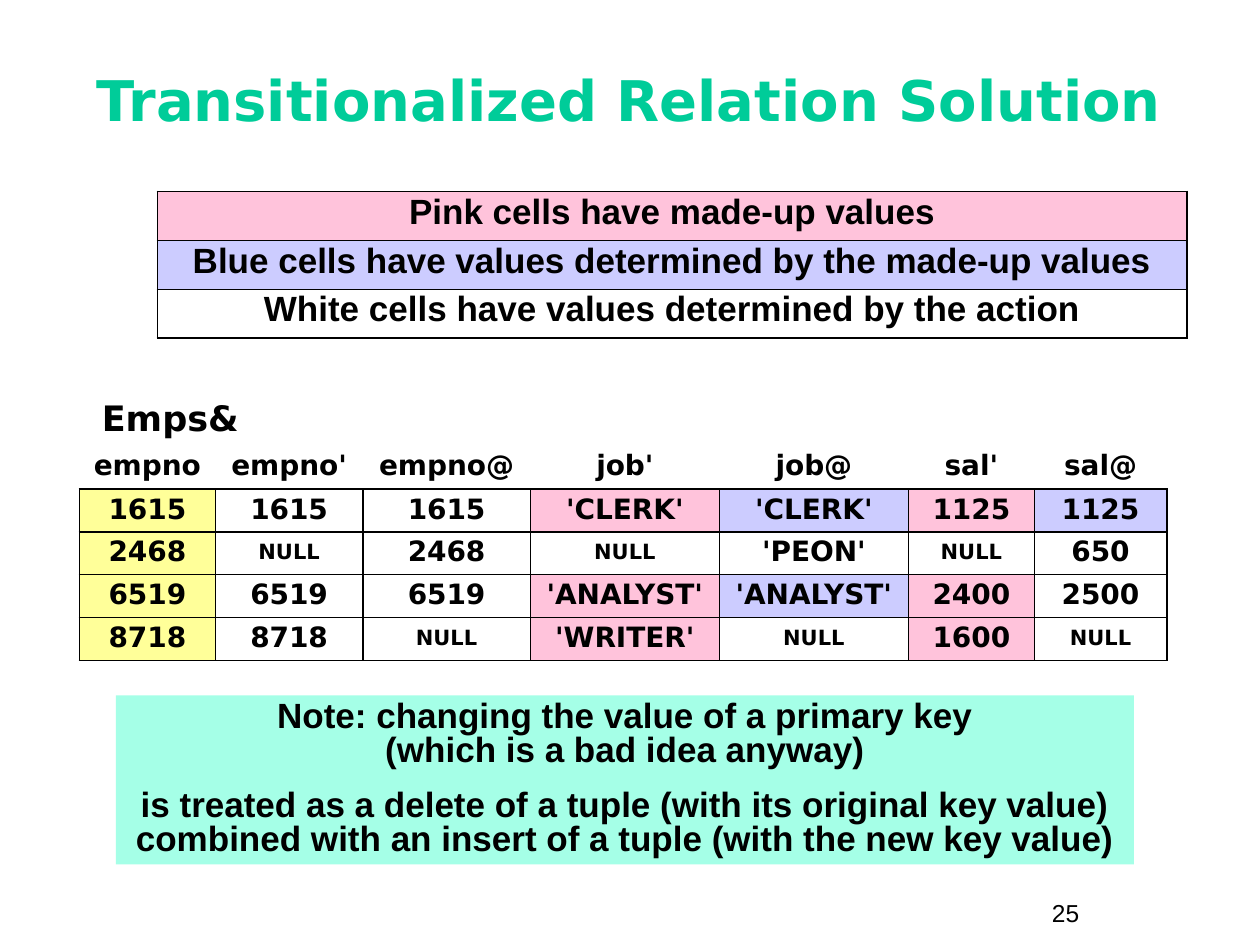
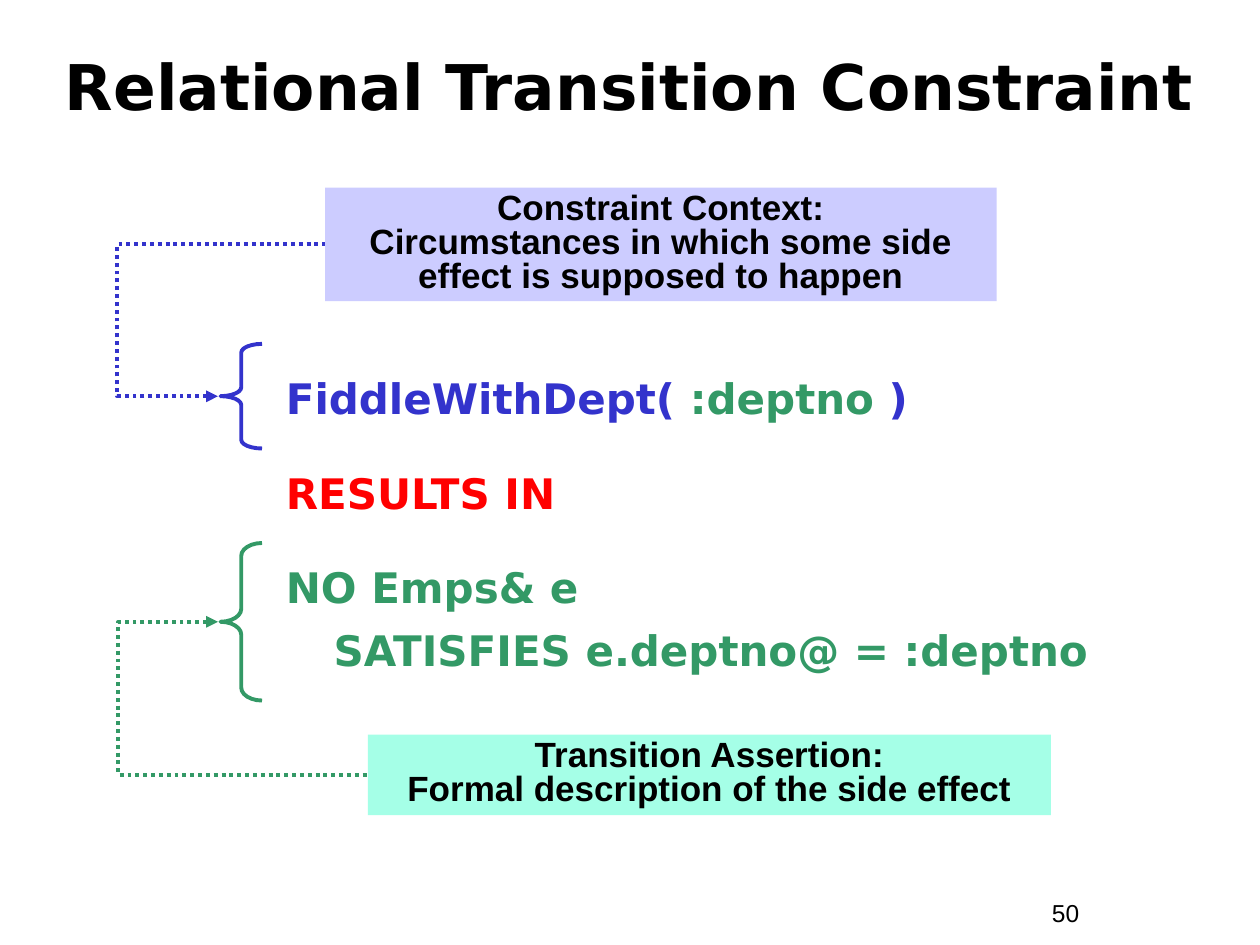
"""Build two slides on transitionalized relations and transition constraints."""
from dataclasses import dataclass
from typing import Any, NamedTuple

from lxml import etree
from pptx import Presentation
from pptx.dml.color import RGBColor
from pptx.enum.dml import MSO_LINE
from pptx.enum.shapes import MSO_CONNECTOR, MSO_SHAPE
from pptx.enum.text import MSO_ANCHOR, PP_ALIGN
from pptx.oxml.ns import qn
from pptx.util import Inches, Pt

LEFT, CENTER = PP_ALIGN.LEFT, PP_ALIGN.CENTER
TOP, MIDDLE = MSO_ANCHOR.TOP, MSO_ANCHOR.MIDDLE
RECT, BRACE = MSO_SHAPE.RECTANGLE, MSO_SHAPE.LEFT_BRACE
ELBOW, DOTTED = MSO_CONNECTOR.ELBOW, MSO_LINE.ROUND_DOT


@dataclass(frozen=True)
class Theme:
    """Colours, fonts and sizes shared by the slides."""
    black: str = "000000"
    teal: str = "00CC99"
    mint: str = "A5FFE7"
    pink: str = "FFC3DB"
    lilac: str = "CCCCFF"
    yellow: str = "FFFF99"
    blue: str = "3333CC"
    green: str = "339966"
    red: str = "FF0000"
    sans: str = "Arial"
    display: str = "DejaVu Sans"
    code_size: float = 24
    body_size: float = 20
    cell_size: float = 16
    number_size: float = 14
    null_size: float = 12
    rule: float = 1.08
    thin_rule: float = 0.45
    stroke: float = 2.25


T = Theme()


class Box(NamedTuple):
    """Position and size in inches."""
    left: float
    top: float
    width: float
    height: float

    def lengths(self) -> list[int]:
        """Return the four values as lengths."""
        return [Inches(v) for v in self]


class Style(NamedTuple):
    """Type and paragraph settings of a text."""
    size: float
    font: str = T.sans
    bold: bool = True
    align: Any = CENTER
    line: float = 1.0
    before: float = 0
    hang: float = 0


class Run(NamedTuple):
    """A stretch of text in one colour."""
    text: str
    color: str = T.black


class Callout(NamedTuple):
    """A filled box of centred paragraphs."""
    box: Box
    fill: str
    paragraphs: list[str]


class Clause(NamedTuple):
    """A brace whose dotted arrow comes from a callout by way of a rail."""
    brace: Box
    curve: float
    color: str
    rail: float
    callout: Callout


CELL = Style(T.cell_size, T.display, line=0.9)
LEGEND = Style(T.body_size, line=0.85)
NOTE = Style(T.body_size, line=0.8, before=12.5)
LABEL = Style(T.body_size, T.display, align=LEFT, line=0.85)
CODE = Style(T.code_size, T.display, align=LEFT, line=1.25, before=18, hang=0.38)
NUMBER = Style(T.number_size, bold=False, align=LEFT)

FILLS = {"Y": T.yellow, "P": T.pink, "B": T.lilac, "W": None}
LEGEND_ROWS = [
    ("P", "Pink cells have made-up values"),
    ("B", "Blue cells have values determined by the made-up values"),
    ("W", "White cells have values determined by the action"),
]
EMPS_WIDTHS = [1.08, 1.17, 1.33, 1.5, 1.5, 1, 1.05]
EMPS_HEADER = ["empno", "empno'", "empno@", "job'", "job@", "sal'", "sal@"]
EMPS_ROWS = [
    ("YWWPBPB", ["1615", "1615", "1615", "'CLERK'", "'CLERK'", "1125", "1125"]),
    ("YWWWWWW", ["2468", "NULL", "2468", "NULL", "'PEON'", "NULL", "650"]),
    ("YWWPBPW", ["6519", "6519", "6519", "'ANALYST'", "'ANALYST'", "2400", "2500"]),
    ("YWWPWPW", ["8718", "8718", "NULL", "'WRITER'", "NULL", "1600", "NULL"]),
]
KEY_NOTE = Callout(Box(0.92, 5.52, 8.08, 1.34), T.mint, [
    "Note: changing the value of a primary key\n(which is a bad idea anyway)",
    "is treated as a delete of a tuple (with its original key value)\n"
    "combined with an insert of a tuple (with the new key value)",
])
CONSTRAINT = [
    [Run("FiddleWithDept( ", T.blue), Run(":deptno", T.green), Run(" )", T.blue)],
    [Run("RESULTS IN", T.red)],
    [Run("NO Emps& e\nSATISFIES e.deptno@ = :deptno", T.green)],
]
CLAUSES = [
    Clause(Box(1.75, 2.73, 0.33, 0.83), 0.21, T.blue, 0.93, Callout(
        Box(2.58, 1.49, 5.33, 0.9), T.lilac,
        ["Constraint Context:\nCircumstances in which some side effect is supposed to happen"])),
    Clause(Box(1.75, 4.31, 0.33, 1.25), 0.31, T.green, 0.94, Callout(
        Box(2.92, 5.83, 5.42, 0.64), T.mint,
        ["Transition Assertion:\nFormal description of the side effect"])),
]


def rgb(color: str) -> RGBColor:
    """Turn a hex string into a colour."""
    return RGBColor.from_string(color)


def write(tf: Any, paragraphs: list[list[Run]], style: Style) -> None:
    """Write paragraphs run by run, turning newlines into line breaks."""
    for i, runs in enumerate(paragraphs):
        p = tf.add_paragraph() if i else tf.paragraphs[0]
        p.alignment, p.line_spacing = style.align, style.line
        p.space_before = Pt(style.before if i else 0)
        if style.hang:
            pPr = p._p.get_or_add_pPr()
            pPr.set("marL", str(Inches(style.hang)))
            pPr.set("indent", str(-Inches(style.hang)))
        for run in runs:
            for j, line in enumerate(run.text.split("\n")):
                if j:
                    p.add_line_break()
                r = p.add_run()
                r.text = line
                r.font.name, r.font.size, r.font.bold = style.font, Pt(style.size), style.bold
                r.font.color.rgb = rgb(run.color)


def add_text(s: Any, box: Box, paragraphs: list[list[Run]], style: Style, anchor: Any = TOP) -> None:
    """Add a wrapping text box."""
    tf = s.shapes.add_textbox(*box.lengths()).text_frame
    tf.word_wrap, tf.vertical_anchor = True, anchor
    write(tf, paragraphs, style)


def add_slide(prs: Any, title: Run, top: float, size: float, number: int) -> Any:
    """Add a blank slide with its title and page number."""
    s = prs.slides.add_slide(prs.slide_layouts[6])
    add_text(s, Box(8.25, 7.08, 0.92, 0.34), [[Run(str(number))]], NUMBER)
    add_text(s, Box(0.33, top, 9.33, 0.92), [[title]], Style(size, T.display), MIDDLE)
    return s


def add_callout(s: Any, callout: Callout) -> None:
    """Add a filled box with its text."""
    sp = s.shapes.add_shape(RECT, *callout.box.lengths())
    sp.shadow.inherit = False
    sp.fill.solid()
    sp.fill.fore_color.rgb = rgb(callout.fill)
    sp.line.fill.background()
    tf = sp.text_frame
    tf.word_wrap, tf.vertical_anchor = True, TOP
    write(tf, [[Run(text)] for text in callout.paragraphs], NOTE)


def set_borders(cell: Any, **widths: float) -> None:
    """Draw borders L, R, T and B in points; a missing side has no line."""
    tcPr = cell._tc.get_or_add_tcPr()
    for side in "LRTB":
        ln = etree.SubElement(tcPr, qn(f"a:ln{side}"))
        if side in widths:
            ln.set("w", str(Pt(widths[side])))
            fill = etree.SubElement(ln, qn("a:solidFill"))
            etree.SubElement(fill, qn("a:srgbClr"), val=T.black)
        else:
            etree.SubElement(ln, qn("a:noFill"))


def add_grid(s: Any, box: Box, widths: list[float], row_count: int) -> Any:
    """Add a table without banding and with equal rows."""
    table = s.shapes.add_table(row_count, len(widths), *box.lengths()).table
    table.first_row = table.horz_banding = False
    for column, width in zip(table.columns, widths):
        column.width = Inches(width)
    return table


def fill_cell(cell: Any, text: str, style: Style, color: str | None, anchor: Any,
              **borders: float) -> None:
    """Set the borders, fill and text of a cell."""
    set_borders(cell, **borders)
    if color:
        cell.fill.solid()
        cell.fill.fore_color.rgb = rgb(color)
    else:
        cell.fill.background()
    cell.margin_left = cell.margin_right = Inches(0.1)
    cell.margin_top = cell.margin_bottom = Inches(0.05)
    cell.vertical_anchor = anchor
    write(cell.text_frame, [[Run(text)]], style)


def add_legend(s: Any) -> None:
    """Add the table that explains the cell colours."""
    box = Box(1.25, 1.52, 8.17, 1.16)
    table = add_grid(s, box, [box.width], len(LEGEND_ROWS))
    last = len(LEGEND_ROWS) - 1
    for i, (key, text) in enumerate(LEGEND_ROWS):
        fill_cell(table.cell(i, 0), text, LEGEND, FILLS[key], TOP, L=T.rule, R=T.rule,
                  T=T.thin_rule if i else T.rule, B=T.thin_rule if i < last else T.rule)


def add_emps(s: Any) -> None:
    """Add the Emps& relation under its column names."""
    table = add_grid(s, Box(0.63, 3.54, sum(EMPS_WIDTHS), 1.7), EMPS_WIDTHS, len(EMPS_ROWS) + 1)
    for j, name in enumerate(EMPS_HEADER):
        fill_cell(table.cell(0, j), name, CELL, None, TOP, B=T.rule)
    for i, (keys, values) in enumerate(EMPS_ROWS, 1):
        for j, (key, value) in enumerate(zip(keys, values)):
            style = CELL._replace(size=T.null_size) if value == "NULL" else CELL
            fill_cell(table.cell(i, j), value, style, FILLS[key], MIDDLE,
                      L=T.rule, R=T.rule, T=T.rule, B=T.rule)


def add_clause(s: Any, clause: Clause) -> None:
    """Add a brace, its callout and the dotted arrow between them."""
    sp = s.shapes.add_shape(BRACE, *clause.brace.lengths())
    sp.shadow.inherit = False
    sp.fill.background()
    sp.adjustments[0] = clause.curve
    add_callout(s, clause.callout)
    brace, box = clause.brace, clause.callout.box
    start, end = brace.left - 0.02, box.left
    cxn = s.shapes.add_connector(
        ELBOW, Inches(start), Inches(brace.top + brace.height / 2),
        Inches(end), Inches(box.top + box.height / 2))
    for shape in (sp, cxn):
        shape.line.color.rgb = rgb(clause.color)
        shape.line.width = Pt(T.stroke)
    cxn.line.dash_style = DOTTED
    spPr = cxn._element.spPr
    bend = round((clause.rail - start) / (end - start) * 100000)
    etree.SubElement(spPr.find(".//" + qn("a:avLst")), qn("a:gd"), name="adj1", fmla=f"val {bend}")
    etree.SubElement(spPr.find(qn("a:ln")), qn("a:headEnd"), type="triangle")
    etree.SubElement(spPr, qn("a:effectLst"))


def build_solution(prs: Any) -> None:
    """Build the slide with the transitionalized relation."""
    s = add_slide(prs, Run("Transitionalized Relation Solution", T.teal), 0.33, 32, 25)
    add_emps(s)
    add_text(s, Box(0.71, 3.15, 3.17, 0.39), [[Run("Emps&")]], LABEL)
    add_callout(s, KEY_NOTE)
    add_legend(s)


def build_constraint(prs: Any) -> None:
    """Build the slide with the annotated constraint."""
    s = add_slide(prs, Run("Relational Transition Constraint"), 0.22, 36, 50)
    add_text(s, Box(2.17, 2.81, 7.25, 2.92), CONSTRAINT, CODE)
    for clause in CLAUSES:
        add_clause(s, clause)


def main() -> None:
    """Build and save the presentation."""
    prs = Presentation()
    prs.slide_width, prs.slide_height = Inches(10), Inches(7.5)
    build_solution(prs)
    build_constraint(prs)
    prs.save("out.pptx")


if __name__ == "__main__":
    main()
